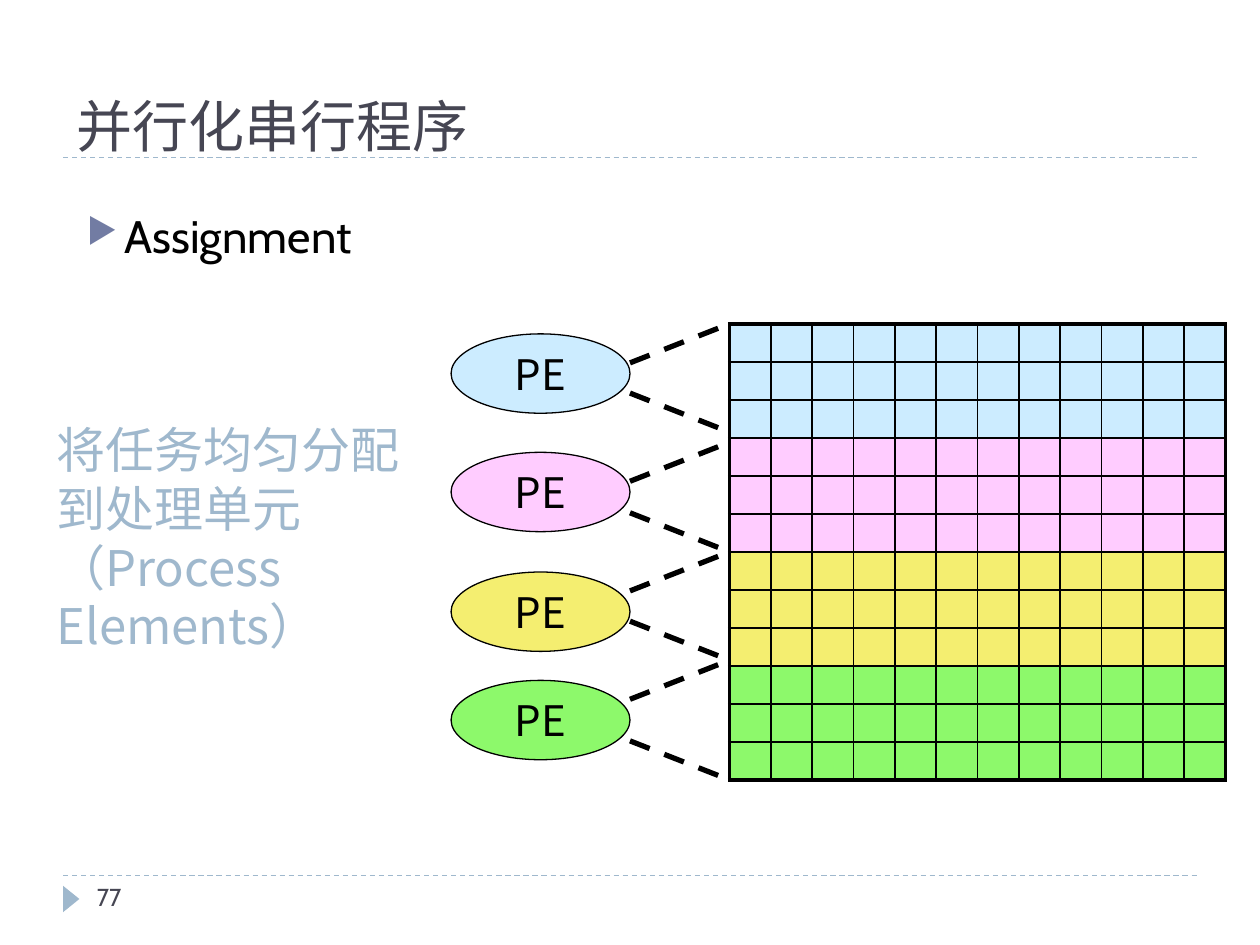
from dataclasses import dataclass

from lxml.etree import SubElement
from pptx import Presentation
from pptx.dml.color import RGBColor
from pptx.enum.dml import MSO_LINE
from pptx.enum.shapes import MSO_CONNECTOR, MSO_SHAPE
from pptx.enum.text import MSO_ANCHOR as Anchor, PP_ALIGN as Align
from pptx.oxml.ns import qn
from pptx.util import Inches, Pt


@dataclass(frozen=True)
class Theme:
    ink: str = "000000"
    heading: str = "464653"
    accent: str = "9FB8CD"
    bullet: str = "727CA3"
    bands: tuple = ("CCECFF", "FFCCFF", "F4EE70", "8DF96B")
    title_font: str = "Roboto Slab"
    body_font: str = "Cabin"
    east_font: str = "Noto Sans CJK JP"
    title_size: int = 32
    note_size: int = 28
    body_size: int = 26
    unit_size: int = 24
    number_size: int = 14
    cell_size: int = 8
    rule: float = 0.75
    grid: float = 1
    frame: float = 2.25
    link: float = 3


@dataclass(frozen=True)
class Box:
    left: float
    top: float
    width: float
    height: float

    @property
    def right(self):
        return self.left + self.width

    def place(self):
        return [cells(n) for n in (self.left, self.top, self.width, self.height)]


THEME = Theme()
COLUMNS, ROWS = 100, 75
GRID_CELL = 0.1
TABLE_SIZE = 12


def cells(count):
    return Inches(count * GRID_CELL)


def color(value):
    return RGBColor.from_string(value)


def apply(target, formats):
    for name, value in formats.items():
        setattr(target, name, value)


def write(shape, text, font, size, tint, align=Align.LEFT, **frame_formats):
    frame = shape.text_frame
    apply(frame, {"word_wrap": True, **frame_formats})
    para = frame.paragraphs[0]
    para.alignment = align
    span = para.add_run()
    span.text = text
    apply(span.font, {"name": font, "size": Pt(size)})
    span.font.color.rgb = color(tint)
    SubElement(span.font._element, qn("a:ea"), typeface=THEME.east_font)
    return para


def add_text(page, box, *content, **formats):
    return write(page.shapes.add_textbox(*box.place()), *content, **formats)


def add_solid(page, box, kind, tint):
    shape = page.shapes.add_shape(kind, *box.place())
    shape.shadow.inherit = False
    shape.fill.solid()
    shape.fill.fore_color.rgb = color(tint)
    shape.line.fill.background()
    return shape


def add_dashes(page, start, end, tint, width):
    line = page.shapes.add_connector(
        MSO_CONNECTOR.STRAIGHT, *[cells(n) for n in (*start, *end)])
    apply(line.line, {"width": Pt(width), "dash_style": MSO_LINE.DASH})
    line.line.color.rgb = color(tint)
    SubElement(line._element.spPr, qn("a:effectLst"))


def add_rule(page, left, right, row):
    add_dashes(page, (left, row), (right, row), THEME.accent, THEME.rule)


def add_header(page, box):
    add_rule(page, 5, COLUMNS - 5, 12.5)
    add_text(page, box, "并行化串行程序", THEME.title_font, THEME.title_size,
             THEME.heading, vertical_anchor=Anchor.BOTTOM)


def add_footer(page, box):
    add_rule(page, 5, COLUMNS - 5, box.top)
    marker = Box(box.left - 2.1, box.top + 1.2, 2.1, 1.3)
    add_solid(page, marker, MSO_SHAPE.ISOSCELES_TRIANGLE, THEME.accent).rotation = 90
    add_text(page, box, "77", THEME.body_font, THEME.number_size, THEME.heading)


def add_body(page, box):
    para = add_text(page, box, "Assignment", THEME.body_font, THEME.body_size, THEME.ink)
    para.space_before = Pt(6)
    props = para._p.get_or_add_pPr()
    apply_indent = {"marL": cells(3), "indent": -cells(3)}
    for name, value in apply_indent.items():
        props.set(name, str(value))
    tint = SubElement(props, qn("a:buClr"))
    SubElement(tint, qn("a:srgbClr"), val=THEME.bullet)
    SubElement(props, qn("a:buSzPct"), val="76000")
    SubElement(props, qn("a:buChar"), char="▶")


def add_note(page, box):
    add_text(page, box, "将任务均匀分配到处理单元（Process Elements）",
             THEME.east_font, THEME.note_size, THEME.accent)


def add_border(cell, side, width):
    line = SubElement(cell._tc.get_or_add_tcPr(), qn(f"a:ln{side}"), w=str(Pt(width)))
    fill = SubElement(line, qn("a:solidFill"))
    SubElement(fill, qn("a:srgbClr"), val=THEME.ink)


def add_task_table(page, box):
    table = page.shapes.add_table(TABLE_SIZE, TABLE_SIZE, *box.place()).table
    apply(table, {"first_row": False, "horz_banding": False})
    for column in table.columns:
        column.width = cells(box.width / TABLE_SIZE)
    band_rows = TABLE_SIZE // len(THEME.bands)
    last = TABLE_SIZE - 1
    for r, row in enumerate(table.rows):
        row.height = cells(box.height / TABLE_SIZE)
        for c, cell in enumerate(row.cells):
            outer = {"L": c == 0, "R": c == last, "T": r == 0, "B": r == last}
            for side, framed in outer.items():
                add_border(cell, side, THEME.frame if framed else THEME.grid)
            apply(cell, dict.fromkeys(("margin_top", "margin_bottom"), 0))
            cell.fill.solid()
            cell.fill.fore_color.rgb = color(THEME.bands[r // band_rows])
            ending = cell.text_frame.paragraphs[0]._p.get_or_add_endParaRPr()
            ending.set("sz", str(THEME.cell_size * 100))


def add_unit(page, box, tint, table_left, link_rows):
    oval = add_solid(page, box, MSO_SHAPE.OVAL, tint)
    oval.line.color.rgb = color(THEME.ink)
    oval.line.width = Pt(THEME.rule)
    write(oval, "PE", THEME.east_font, THEME.unit_size, THEME.ink, Align.CENTER,
          word_wrap=False, vertical_anchor=Anchor.MIDDLE)
    for row, spread in zip(link_rows, (-3.1, 3.1)):
        add_dashes(page, (box.right, row), (table_left, row + spread),
                   THEME.ink, THEME.link)


def add_assignment(page, box):
    table_box = Box(box.right - 39.4, box.top, 39.4, box.height)
    add_task_table(page, table_box)
    unit_tops = (26.5, 35.9, 45.4, 54)
    link_rows = ((28.8, 31.2), (38.2, 40.7), (46.9, 49.3), (55.5, 58.8))
    for top, rows, tint in zip(unit_tops, link_rows, THEME.bands):
        add_unit(page, Box(box.left, top, 14.2, 6.3), tint, table_box.left, rows)


def main():
    deck = Presentation()
    apply(deck, {"slide_width": cells(COLUMNS), "slide_height": cells(ROWS)})
    page = deck.slides.add_slide(deck.slide_layouts[6])
    add_header(page, Box(5.1, 2.1, 89, 11))
    add_footer(page, Box(6.7, 69.5, 21.7, 4))
    add_body(page, Box(5.9, 16, 74.1, 38.4))
    add_assignment(page, Box(35.8, 25.7, 61.5, 36.2))
    add_note(page, Box(3.5, 32.8, 30.7, 19.9))
    deck.save("out.pptx")


if __name__ == "__main__":
    main()
